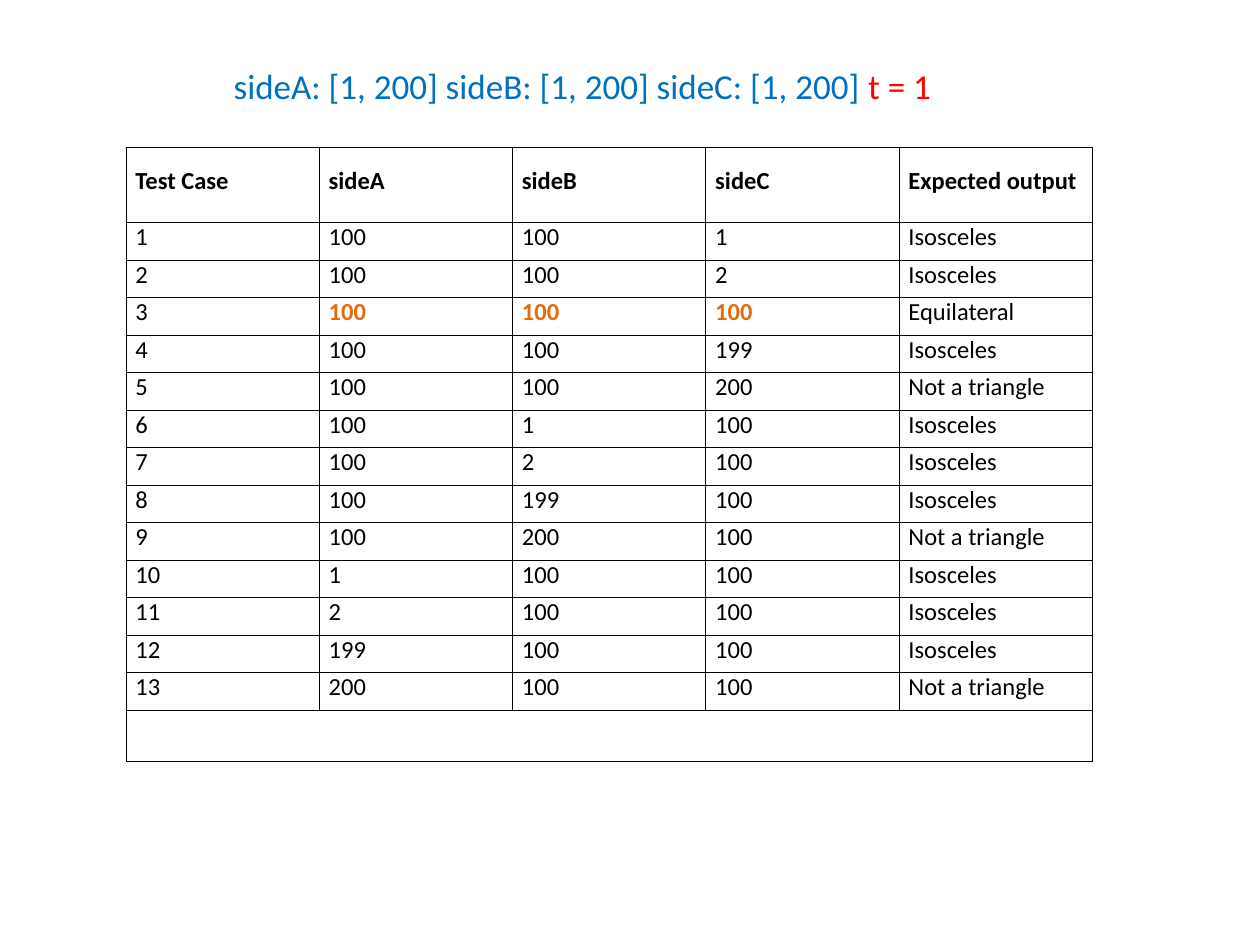
from lxml import etree
from pptx import Presentation
from pptx.dml.color import RGBColor
from pptx.enum.text import MSO_ANCHOR, PP_ALIGN
from pptx.oxml.ns import qn
from pptx.util import Cm, Pt

MIDDLE = MSO_ANCHOR.MIDDLE
JUSTIFY = PP_ALIGN.JUSTIFY

BLACK, BLUE, RED, ORANGE = "000000", "0070C0", "FF0000", "E46C0A"

HEADERS = ["Test Case", "sideA", "sideB", "sideC", "Expected output"]
NOMINAL = 100
# Boundary values of one side, with the result they lead to
ISOSCELES_VALUES = {1: "Isosceles", 2: "Isosceles"}
UPPER_VALUES = {199: "Isosceles", 200: "Not a triangle"}


def color(hex_value):
    return RGBColor.from_string(hex_value)


def build_test_cases():
    """Vary one side at a time, from sideC to sideA; the nominal case comes once."""
    cases = []
    for side in (2, 1, 0):
        values = dict(ISOSCELES_VALUES)
        if side == 2:
            values[NOMINAL] = "Equilateral"
        values.update(UPPER_VALUES)
        for value, result in values.items():
            sides = [NOMINAL] * 3
            sides[side] = value
            cases.append([len(cases) + 1, *sides, result])
    return cases


class SlideBuilder:
    font_name = "Calibri"
    title_size = Pt(20)
    cell_size = Pt(14)
    border_width = Pt(0.45)

    def __init__(self, slide):
        self.slide = slide

    def format_run(self, run, size, hex_value, bold=False):
        run.font.name = self.font_name
        run.font.size = size
        run.font.bold = bold
        run.font.color.rgb = color(hex_value)

    def add_title(self, left, top, width, height, parts):
        shape = self.slide.shapes.add_textbox(Cm(left), Cm(top), Cm(width), Cm(height))
        shape.text_frame.word_wrap = True
        paragraph = shape.text_frame.paragraphs[0]
        paragraph.line_spacing = 0.9
        paragraph.space_before = Pt(6)
        properties = paragraph._p.get_or_add_pPr()
        properties.set("marL", str(Cm(1.02)))
        properties.set("indent", str(Cm(-0.79)))
        for text, hex_value in parts:
            run = paragraph.add_run()
            run.text = text
            self.format_run(run, self.title_size, hex_value)

    def add_borders(self, cell):
        properties = cell._tc.get_or_add_tcPr()
        for side in ("lnL", "lnR", "lnT", "lnB"):
            line = etree.SubElement(properties, qn(f"a:{side}"), w=str(self.border_width))
            fill = etree.SubElement(line, qn("a:solidFill"))
            etree.SubElement(fill, qn("a:srgbClr"), val=BLACK)

    def fill_cell(self, cell, text, hex_value=BLACK, bold=False):
        cell.vertical_anchor = MIDDLE
        cell.margin_left = cell.margin_right = Cm(0.19)
        cell.margin_top = cell.margin_bottom = Cm(0.13)
        self.add_borders(cell)
        cell.fill.background()
        cell.text_frame.text = str(text)
        paragraph = cell.text_frame.paragraphs[0]
        paragraph.alignment = JUSTIFY
        paragraph.line_spacing = Pt(12)
        for run in paragraph.runs:
            self.format_run(run, self.cell_size, hex_value, bold)

    def add_table(self, left, top, width, row_heights, rows):
        shape = self.slide.shapes.add_table(
            len(rows), len(rows[0]), Cm(left), Cm(top), Cm(width), Cm(sum(row_heights)))
        table = shape.table
        table.first_row = table.horz_banding = False
        for row, height in zip(table.rows, row_heights):
            row.height = Cm(height)
        for row_index, values in enumerate(rows):
            equilateral = values[-1] == "Equilateral"
            for column_index, value in enumerate(values):
                highlighted = equilateral and value == NOMINAL
                self.fill_cell(
                    table.cell(row_index, column_index), value,
                    ORANGE if highlighted else BLACK,
                    highlighted or row_index == 0)
        return table


def main():
    presentation = Presentation()
    presentation.slide_width = Cm(25.4)
    presentation.slide_height = Cm(19.05)
    builder = SlideBuilder(presentation.slides.add_slide(presentation.slide_layouts[6]))

    # Test case table, closed by an empty row across all columns
    cases = build_test_cases()
    rows = [HEADERS, *cases, [""] * len(HEADERS)]
    row_heights = [1.51] + [9.83 / len(cases)] * len(cases) + [0.97]
    table = builder.add_table(2.54, 2.98, 19.48, row_heights, rows)
    last = len(rows) - 1
    table.cell(last, 0).merge(table.cell(last, len(HEADERS) - 1))

    # Input ranges and number of varied sides
    ranges = "".join(f"{name}: [1, 200] " for name in HEADERS[1:4])
    builder.add_title(4.23, 1.27, 16.71, 1.02, [(ranges, BLUE), ("t = 1", RED)])

    presentation.save("out.pptx")


if __name__ == "__main__":
    main()
